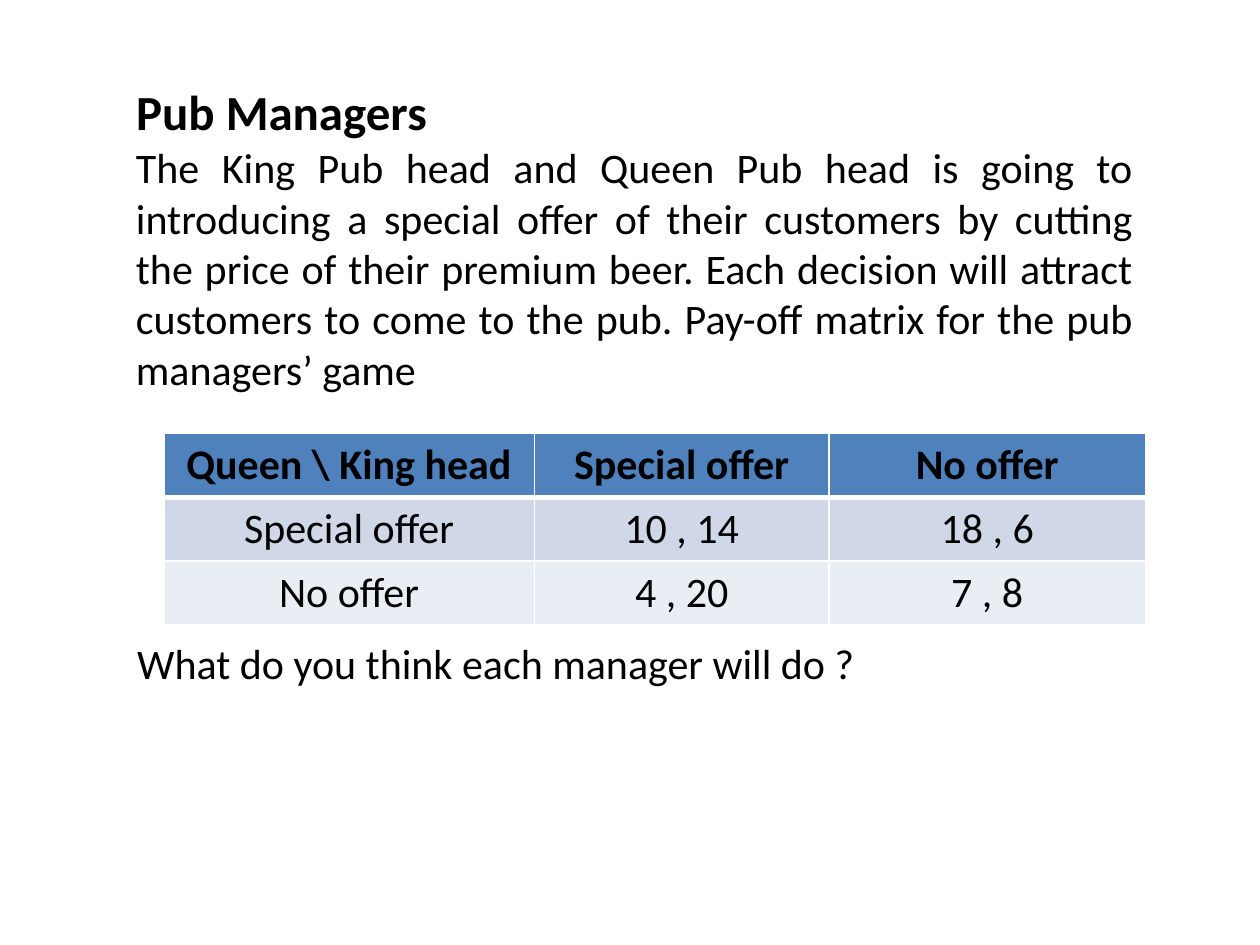
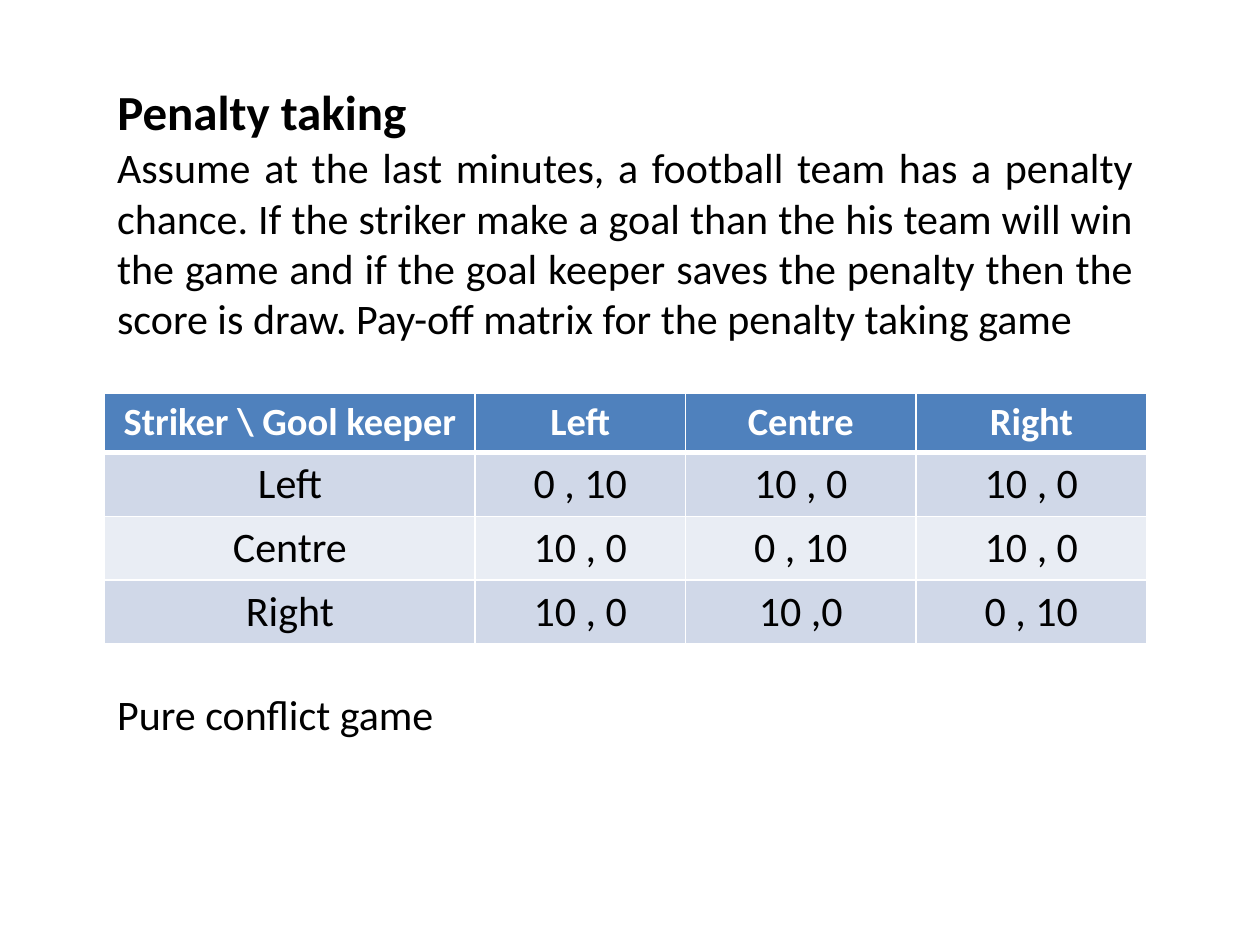
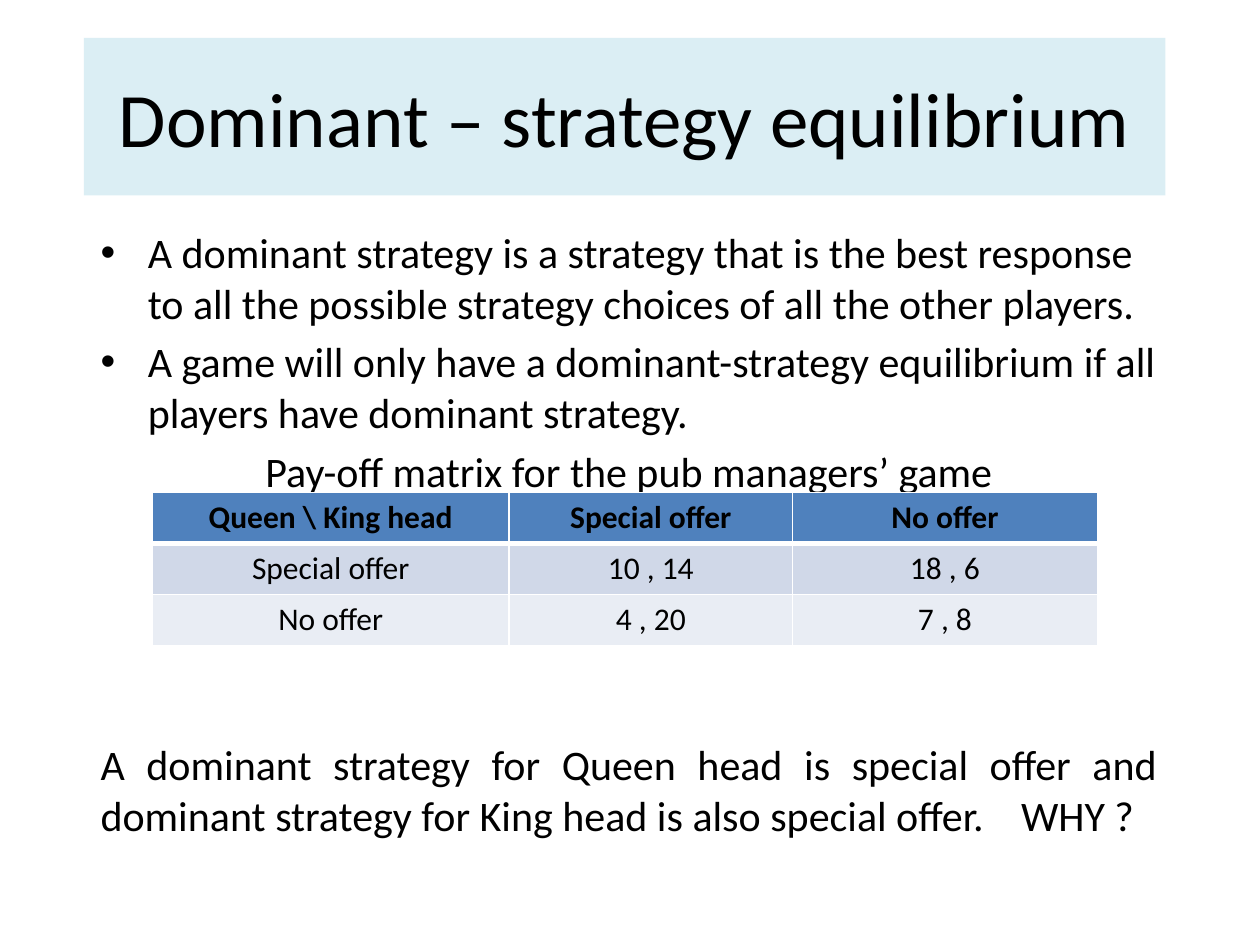
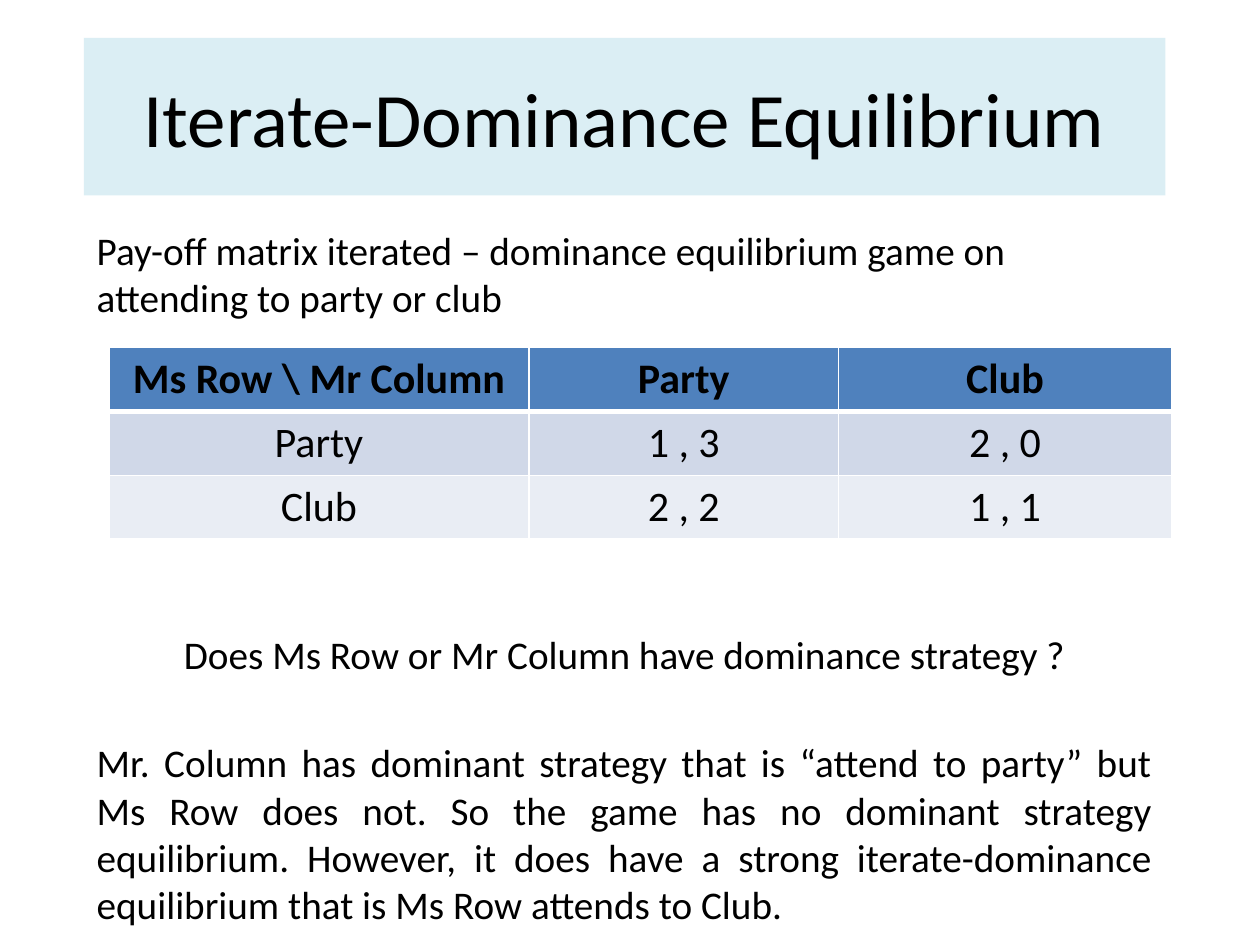
import dataclasses

import lxml.etree
import pptx
import pptx.dml.color
import pptx.enum.text
import pptx.oxml.ns
import pptx.util

Pt = pptx.util.Pt
ALIGN = pptx.enum.text.PP_ALIGN
ANCHOR = pptx.enum.text.MSO_ANCHOR
FIT = pptx.enum.text.MSO_AUTO_SIZE

FONT = "Calibri"
BLACK, WHITE = "000000", "FFFFFF"
BAND, HEAD = "DBEEF4", "4F81BD"
STRIPES = ("D0D8E8", "E9EDF4")
LINE_RATE = 1.22
CELL_PAD = 7.2


@dataclasses.dataclass
class Area:
    left: float
    top: float
    width: float
    height: float

    def points(self) -> list:
        return [Pt(side) for side in dataclasses.astuple(self)]


@dataclasses.dataclass
class Para:
    text: str
    align: ALIGN = ALIGN.LEFT
    before: float = 0
    bullet: bool = False
    tab: float = 0


@dataclasses.dataclass
class Grid:
    left: float
    top: float
    widths: tuple
    rows: tuple
    size: float = 24
    head_size: float = 24
    head_ink: str = BLACK


PUB_ROWS = (
    ("Queen \\ King head", "Special offer", "No offer"),
    ("Special offer", "10 , 14", "18 , 6"),
    ("No offer", "4 , 20", "7 , 8"),
)
GOAL_ROWS = (
    ("Striker \\ Gool keeper", "Left", "Centre", "Right"),
    ("Left", "0 , 10", "10 , 0", "10 , 0"),
    ("Centre", "10 , 0", "0 , 10", "10 , 0"),
    ("Right", "10 , 0", "10 ,0", "0 , 10"),
)
PARTY_ROWS = (
    ("Ms Row \\ Mr Column", "Party", "Club"),
    ("Party", "1 , 3", "2 , 0"),
    ("Club", "2 , 2", "1 , 1"),
)


def tint(code: str) -> pptx.dml.color.RGBColor:
    return pptx.dml.color.RGBColor.from_string(code)


def style(font, size: float, ink: str = BLACK, bold: bool = False) -> None:
    font.name = FONT
    font.size = Pt(size)
    font.bold = bold
    font.color.rgb = tint(ink)


def add_node(parent, tag: str, **traits: str):
    node = lxml.etree.SubElement(parent, pptx.oxml.ns.qn(tag))
    for key, value in traits.items():
        node.set(key, value)
    return node


def add_title(slide, text: str, area: Area, size: float, align: ALIGN,
              anchor: ANCHOR, bold: bool = False):
    title = slide.shapes.title
    title.left, title.top, title.width, title.height = area.points()
    frame = title.text_frame
    frame.text = text
    frame.auto_size = FIT.NONE
    frame.vertical_anchor = anchor
    frame.paragraphs[0].alignment = align
    style(frame.paragraphs[0].runs[0].font, size, bold=bold)
    return title


def add_band(slide, text: str) -> None:
    title = add_title(slide, text, Area(48, 21.6, 618, 90), 44,
                      ALIGN.CENTER, ANCHOR.MIDDLE)
    title.fill.solid()
    title.fill.fore_color.rgb = tint(BAND)


def add_topic(slide, text: str, left: float, width: float) -> None:
    add_title(slide, text, Area(left, 43.2, width, 41.4), 28,
              ALIGN.LEFT, ANCHOR.TOP, bold=True)


def add_text(slide, area: Area, paras: list[Para], size: float = 24) -> None:
    frame = slide.shapes.add_textbox(*area.points()).text_frame
    frame.word_wrap = True
    for place, item in enumerate(paras):
        para = frame.add_paragraph() if place else frame.paragraphs[0]
        para.text = item.text
        para.alignment = item.align
        para.space_before = Pt(item.before)
        props = para._p.get_or_add_pPr()
        if item.bullet:
            props.set("marL", str(Pt(27)))
            props.set("indent", str(Pt(-27)))
            add_node(props, "a:buFont", typeface="Arial")
            add_node(props, "a:buChar", char="•")
        if item.tab:
            stops = add_node(props, "a:tabLst")
            add_node(stops, "a:tab", pos=str(Pt(item.tab)), algn="l")
        for run in para.runs:
            style(run.font, size)


def add_edges(cell, top: float, bottom: float) -> None:
    props = cell._tc.get_or_add_tcPr()
    edges = (("a:lnL", 1), ("a:lnR", 1), ("a:lnT", top), ("a:lnB", bottom))
    for place, (tag, width) in enumerate(edges):
        line = lxml.etree.Element(pptx.oxml.ns.qn(tag))
        line.set("w", str(Pt(width)))
        add_node(add_node(line, "a:solidFill"), "a:srgbClr", val=WHITE)
        props.insert(place, line)


def add_grid(slide, grid: Grid) -> None:
    sizes = [grid.head_size] + [grid.size] * (len(grid.rows) - 1)
    heights = [round(size * LINE_RATE + CELL_PAD, 2) for size in sizes]
    area = Area(grid.left, grid.top, sum(grid.widths), sum(heights))
    table = slide.shapes.add_table(
        len(grid.rows), len(grid.widths), *area.points()).table
    for column, width in zip(table.columns, grid.widths):
        column.width = Pt(width)
    for r, texts in enumerate(grid.rows):
        table.rows[r].height = Pt(heights[r])
        for c, text in enumerate(texts):
            cell = table.cell(r, c)
            cell.text_frame.text = text
            cell.fill.solid()
            cell.fill.fore_color.rgb = tint(STRIPES[(r - 1) % 2] if r else HEAD)
            add_edges(cell, 3 if r == 1 else 1, 1 if r else 3)
            para = cell.text_frame.paragraphs[0]
            para.alignment = ALIGN.CENTER
            style(para.runs[0].font, sizes[r],
                  BLACK if r else grid.head_ink, r == 0)


def draw_pub(slide) -> None:
    add_topic(slide, "Pub Managers", 70.6, 584)
    add_text(slide, Area(70.6, 77.4, 584, 152.3), [Para(
        "The King Pub head and Queen Pub head is going to introducing a "
        "special offer of their customers by cutting the price of their "
        "premium beer. Each decision will attract customers to come to the "
        "pub. Pay-off matrix for the pub managers’ game", ALIGN.JUSTIFY)])
    add_grid(slide, Grid(93.6, 247.7, (211.7, 168.5, 180.7), PUB_ROWS))
    add_text(slide, Area(71.3, 360.7, 492, 36),
             [Para("What do you think each manager will do ?")])


def draw_goal(slide) -> None:
    add_topic(slide, "Penalty taking", 59.8, 595)
    add_text(slide, Area(59.8, 77.4, 595, 123.5), [Para(
        "Assume at the last minutes, a football team has a penalty chance. "
        "If the striker make a goal than the his team will win the game and "
        "if the goal keeper saves the penalty then the score is draw. "
        "Pay-off matrix for the penalty taking game", ALIGN.JUSTIFY)])
    add_grid(slide, Grid(59.8, 224.6, (211.7, 120.2, 131.8, 131.8),
                         GOAL_ROWS, head_size=22, head_ink=WHITE))
    add_text(slide, Area(59.8, 390.2, 229, 36), [Para("Pure conflict game")])


def draw_best(slide) -> None:
    add_band(slide, "Dominant – strategy equilibrium")
    add_text(slide, Area(50.4, 126, 618, 356.4), [
        Para("A dominant strategy is a strategy that is the best response to "
             "all the possible strategy choices of all the other players.",
             bullet=True),
        Para("A game will only have a dominant-strategy equilibrium if all "
             "players have dominant strategy.", before=4.8, bullet=True),
        Para("Pay-off matrix for the pub managers’ game", ALIGN.CENTER, 4.8),
        Para("A dominant strategy for Queen head is special offer and "
             "dominant strategy for King head is also special offer.\tWHY ?",
             ALIGN.JUSTIFY, 139, tab=526),
    ])
    add_grid(slide, Grid(87.1, 281.5, (203.8, 162, 174.2), PUB_ROWS, 18, 18))


def draw_party(slide) -> None:
    add_band(slide, "Iterate-Dominance Equilibrium")
    add_text(slide, Area(48.2, 126, 618, 356.4), [
        Para("Pay-off matrix iterated – dominance equilibrium game on "
             "attending to party or club"),
        Para("Does Ms Row or Mr Column have dominance strategy ?",
             ALIGN.CENTER, 177),
        Para("Mr. Column has dominant strategy that is “attend to party” but "
             "Ms Row does not. So the game has no dominant strategy "
             "equilibrium. However, it does have a strong iterate-dominance "
             "equilibrium that is Ms Row attends to Club.",
             ALIGN.JUSTIFY, 35),
    ], 22.4)
    add_grid(slide, Grid(62.4, 198.7, (239.8, 177.1, 190.1), PARTY_ROWS))


def main() -> None:
    deck = pptx.Presentation()
    deck.slide_width, deck.slide_height = Pt(720), Pt(540)
    for draw in (draw_pub, draw_goal, draw_best, draw_party):
        draw(deck.slides.add_slide(deck.slide_layouts[5]))
    deck.save("out.pptx")


if __name__ == "__main__":
    main()
